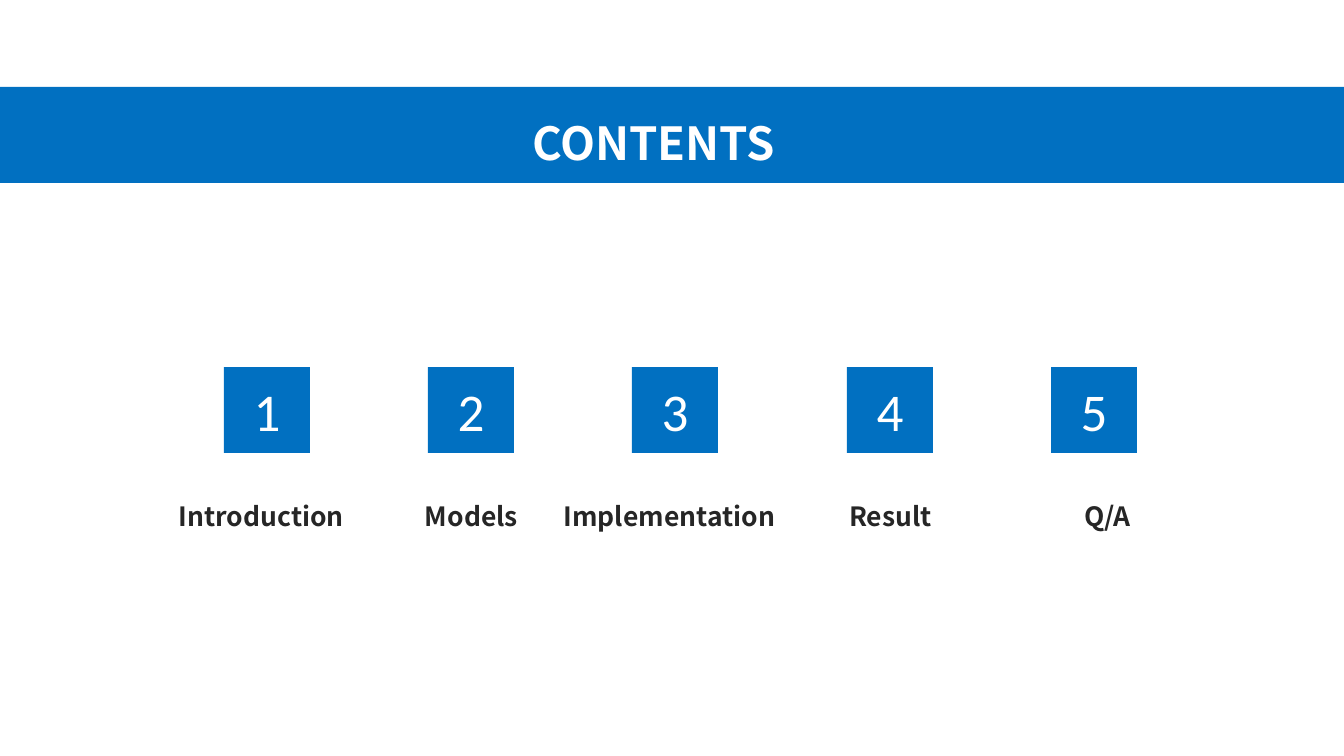
from pptx import Presentation
from pptx.dml.color import RGBColor
from pptx.enum.shapes import MSO_SHAPE as Preset
from pptx.enum.text import MSO_ANCHOR as Anchor, MSO_AUTO_SIZE as AutoSize, PP_ALIGN as Align
from pptx.util import Emu, Pt

BLUE = RGBColor(0x01, 0x70, 0xC1)
WHITE = RGBColor(0xFF, 0xFF, 0xFF)
DARK = RGBColor(0x26, 0x26, 0x26)

HEADING_FONT = "Noto Sans CJK SC"
NUMBER_FONT = "Calibri"
EMU_PER_PX = 914400 / 100.8


def px(length):
    return Emu(round(length * EMU_PER_PX))


def write(frame, text, *, size, color, font=HEADING_FONT, bold=False,
          align=Align.CENTER, spacing=None, margin=None):
    frame.word_wrap = True
    frame.auto_size = AutoSize.NONE
    frame.vertical_anchor = Anchor.MIDDLE
    if margin is not None:
        frame.margin_left = frame.margin_right = px(margin)
        frame.margin_top = frame.margin_bottom = px(margin)
    para = frame.paragraphs[0]
    para.alignment = align
    if spacing:
        para.line_spacing = spacing
    span = para.add_run()
    span.text = text
    span.font.name = font
    span.font.size = Pt(size)
    span.font.bold = bold
    span.font.color.rgb = color


class ContentsPage:
    def __init__(self, deck):
        self.page = deck.slides.add_slide(deck.slide_layouts[5])

    def block(self, left, top, width, height):
        box = self.page.shapes.add_shape(
            Preset.RECTANGLE, px(left), px(top), px(width), px(height))
        box.shadow.inherit = False
        box.fill.solid()
        box.fill.fore_color.rgb = BLUE
        box.line.fill.background()
        return box

    def title(self, text, left, top, width, height):
        box = self.page.shapes.title
        box.left, box.top = px(left), px(top)
        box.width, box.height = px(width), px(height)
        write(box.text_frame, text, size=32.5, color=WHITE, bold=True,
              align=Align.LEFT, spacing=1.2, margin=0)
        # Bring the title in front of the band
        self.page.shapes._spTree.append(box._element)

    def number(self, value, left, top, side):
        box = self.block(left, top, side, side)
        write(box.text_frame, str(value), size=37.9, color=WHITE, font=NUMBER_FONT)

    def label(self, text, left, top, width, height):
        box = self.page.shapes.add_textbox(px(left), px(top), px(width), px(height))
        write(box.text_frame, text, size=18.9, color=DARK, bold=True,
              spacing=1.2, margin=0)


def main():
    deck = Presentation()
    deck.slide_width, deck.slide_height = px(1344), px(756)
    contents = ContentsPage(deck)

    # Title band
    contents.block(-48, 87, 1440, 96)
    contents.title("CONTENTS", 532, -9, 1242, 291)

    # Numbered sections: even steps, with a wider gap after the third
    sections = [("Introduction", 127), ("Models", 337), ("Implementation", 535),
                ("Result", 756), ("Q/A", 973)]
    for index, (name, label_left) in enumerate(sections):
        wider_gap = 11 if index > 2 else 0
        contents.number(index + 1, 224 + 204 * index + wider_gap, 367, 86)
        contents.label(name, label_left, 456, 269, 114)

    deck.save("out.pptx")


if __name__ == "__main__":
    main()
